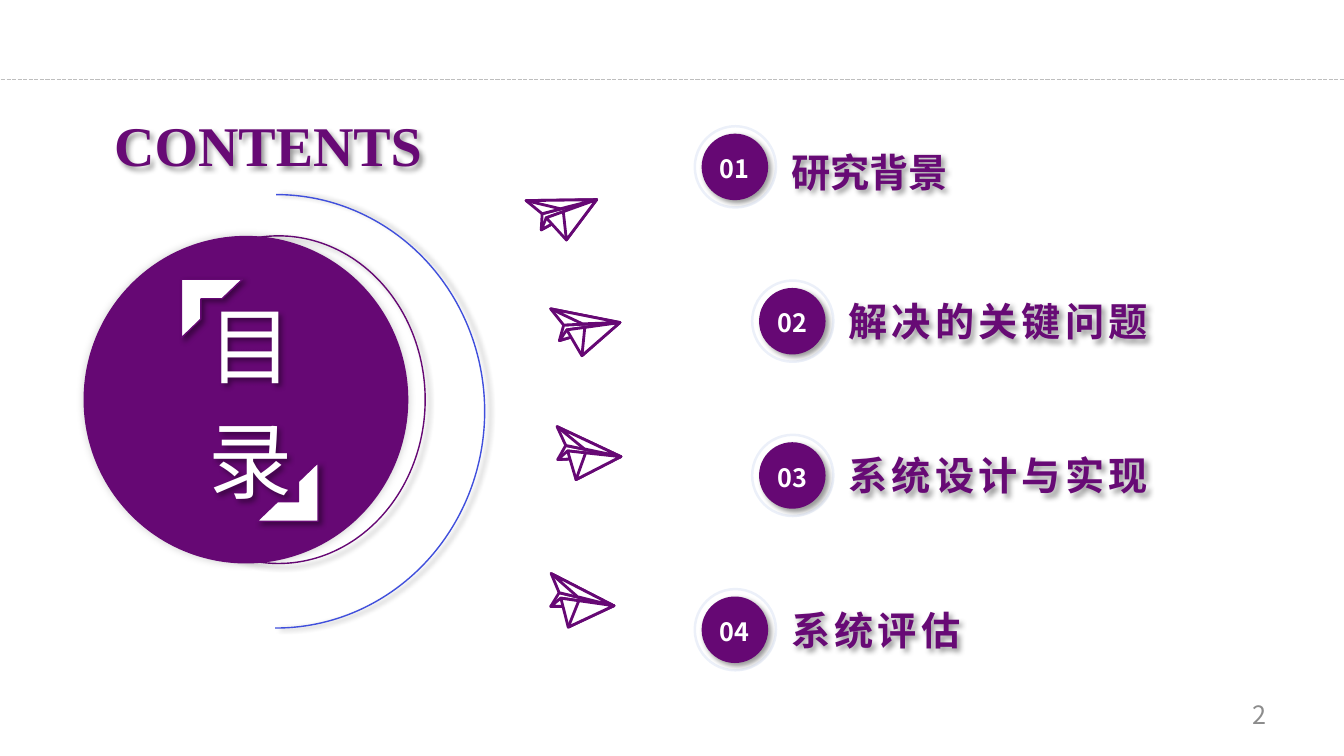
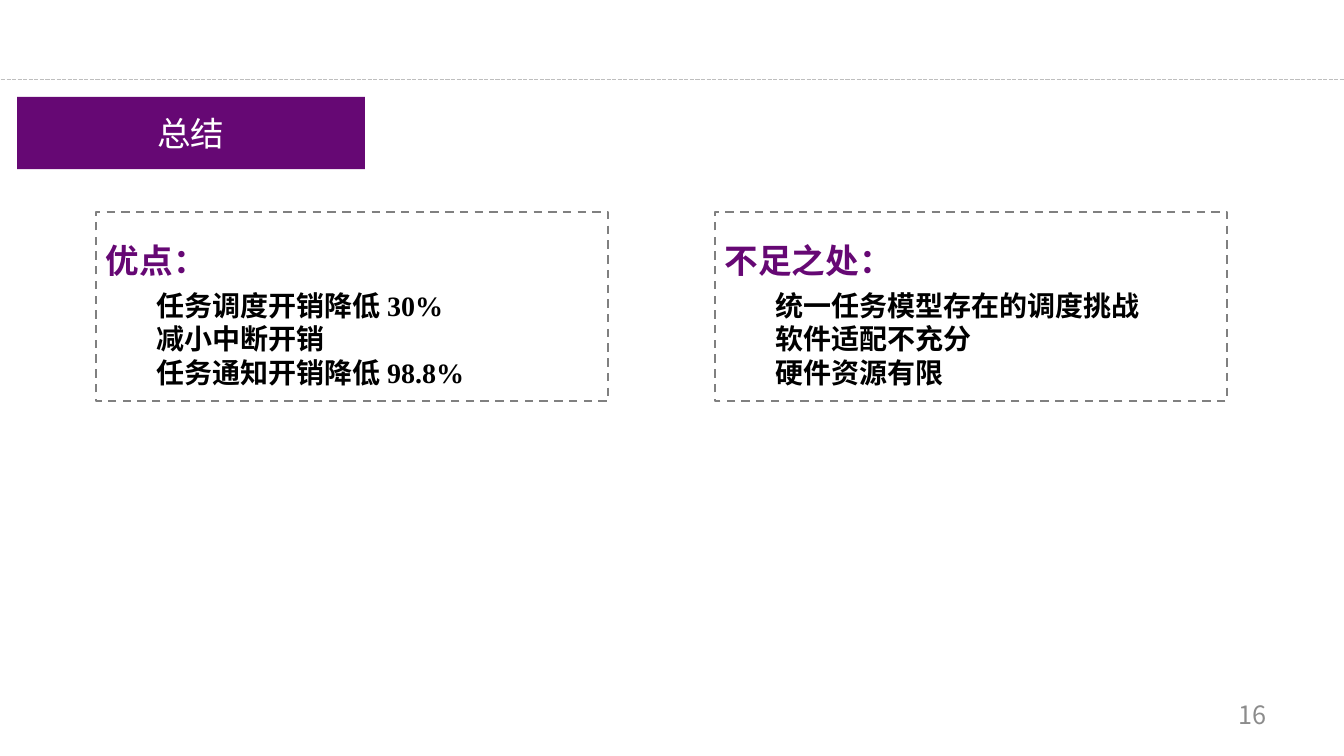
import math

import lxml.etree
import pptx
import pptx.dml.color
import pptx.enum.dml
import pptx.enum.shapes
import pptx.enum.text
import pptx.oxml.ns
import pptx.util

Pt = pptx.util.Pt
KIND = pptx.enum.shapes.MSO_SHAPE
DASH = pptx.enum.dml.MSO_LINE
ALIGN = pptx.enum.text.PP_ALIGN
ANCHOR = pptx.enum.text.MSO_ANCHOR
qn = pptx.oxml.ns.qn

COLOR = {
    "plum": "660874", "label": "670A75", "white": "FFFFFF", "black": "000000",
    "rule": "BEBEBE", "frame": "808080", "page": "8C8C8C", "arc": "404FDC", "ring": "4874CB",
}
SANS, GOTHIC, SERIF = "Noto Sans CJK SC", "Noto Sans CJK JP", "Times New Roman"
DROP = (40, 4, 3, 45)

TOPICS = [
    ("研究背景", 495.4, 0, 1.2),
    ("解决的关键问题", 536.4, 3, 1),
    ("系统设计与实现", 536.4, 3, 1),
    ("系统评估", 495.4, 3, 1),
]
PLANES = [(426.2, 142.6, 0), (442.8, 230.4, 12), (443.5, 326.2, 26), (438.5, 432.7, 28)]
FOLDS = [
    ((-38.9, 10.1), (-39.6, 21.6)),
    ((-36, 13), (-39.6, 21.6)),
    ((-50.4, 0.7), (-38.9, 10.1)),
    ((-36, 13), (-21.6, 28.8)),
    ((-23.8, 8.6), (-21.6, 28.8)),
    ((-50.4, 0.7), (-25.9, 6.5)),
]
PANELS = [
    ("优点：", ["任务调度开销降低 30%", "减小中断开销", "任务通知开销降低 98.8%"]),
    ("不足之处：", ["统一任务模型存在的调度挑战", "软件适配不充分", "硬件资源有限"]),
]


def tint(name):
    """Return the named colour."""
    return pptx.dml.color.RGBColor.from_string(COLOR[name])


def place(shape, box):
    """Move and size a shape to a box in points."""
    shape.left, shape.top, shape.width, shape.height = map(Pt, box)


def paint(shape, fill=None, line=None, width=1):
    """Set the fill and outline, or clear them."""
    if fill:
        shape.fill.solid()
        shape.fill.fore_color.rgb = tint(fill)
    else:
        shape.fill.background()
    if line:
        shape.line.color.rgb = tint(line)
        shape.line.width = Pt(width)
    else:
        shape.line.fill.background()


def shade(shape, alpha, blur, gap, turn):
    """Give a shape a black outer shadow."""
    shape.shadow.inherit = False
    effects = shape.element.spPr.find(qn("a:effectLst"))
    outer = lxml.etree.SubElement(
        effects, qn("a:outerShdw"), blurRad=str(Pt(blur)), dist=str(Pt(gap)),
        dir=str(turn * 60000), algn="ctr", rotWithShape="0")
    black = lxml.etree.SubElement(outer, qn("a:srgbClr"), val=COLOR["black"])
    lxml.etree.SubElement(black, qn("a:alpha"), val=str(alpha * 1000))


def draw(shapes, kind, box, fill=None, line=None, shadow=None):
    """Add a preset shape."""
    shape = shapes.add_shape(kind, *map(Pt, box))
    paint(shape, fill, line)
    shape.shadow.inherit = False
    if shadow:
        shade(shape, *shadow)
    return shape


def style(par, size, color, face=SANS, bold=False, align=ALIGN.LEFT, lead=1, after=0):
    """Format one paragraph."""
    par.alignment = align
    par.line_spacing = lead
    par.space_before, par.space_after = Pt(0), Pt(after)
    font = par.font
    font.size, font.bold, font.name = Pt(size), bold, face
    font.color.rgb = tint(color)


def finish(shape, east=SANS, spread=0):
    """Set East Asian font, letter spacing and plain bullets."""
    for props in shape.element.iter(qn("a:defRPr")):
        lxml.etree.SubElement(props, qn("a:ea"), typeface=east)
        props.set("spc", str(spread * 100))
        par = props.getparent()
        par.set("marL", "0")
        par.set("indent", "0")
        props.addprevious(lxml.etree.Element(qn("a:buNone")))


def setup(shape, anchor, inset=(0, 0), wrap=True):
    """Prepare the text frame of a shape."""
    frame = shape.text_frame
    frame.auto_size = pptx.enum.text.MSO_AUTO_SIZE.NONE
    frame.word_wrap = wrap
    frame.vertical_anchor = anchor
    frame.margin_left = frame.margin_right = Pt(inset[0])
    frame.margin_top = frame.margin_bottom = Pt(inset[1])
    return frame


def write(shape, text, size, color, anchor=ANCHOR.MIDDLE, inset=(0, 0), wrap=True,
          face=SANS, spread=0, **look):
    """Write one formatted paragraph in a shape."""
    frame = setup(shape, anchor, inset, wrap)
    frame.text = text
    style(frame.paragraphs[0], size, color, face, **look)
    finish(shape, SANS if face == SERIF else face, spread)


def label(shapes, box, *args, **look):
    """Add a text box."""
    shape = shapes.add_textbox(*map(Pt, box))
    write(shape, *args, **look)
    return shape


def rule(deck, slide):
    """Put the shared dashed rule on the master."""
    line = slide.shapes.add_connector(
        pptx.enum.shapes.MSO_CONNECTOR.STRAIGHT, Pt(0.7), Pt(56.9), Pt(960), Pt(56.9))
    line.line.color.rgb = tint("rule")
    line.line.width = Pt(1)
    line.line.dash_style = DASH.SQUARE_DOT
    lxml.etree.SubElement(line.element.spPr, qn("a:effectLst"))
    line.element.xpath(".//p:cNvPr")[0].set("id", "99")
    deck.slide_master.shapes.element.append(line.element)


def number(slide, text, face):
    """Write the page number."""
    label(slide.shapes, (699, 497.5, 212.4, 25.2), text, 18, "page", face=face,
          inset=(7.2, 3.6), align=ALIGN.RIGHT)


def emblem(shapes, left, top):
    """Draw the disc with its arcs, corners and words."""
    draw(shapes, KIND.OVAL, (left + 46, top + 29.5, 209.5, 234), line="plum", shadow=DROP)
    draw(shapes, KIND.OVAL, (left + 11.5, top + 29.5, 232, 234), "plum", shadow=(20, 6, 0, 225))
    for x, y, turn in [(81.4, 60.5, 0), (135.4, 191.5, 180)]:
        corner = draw(shapes, KIND.HALF_FRAME, (left + x, top + y, 43.5, 41.8),
                      "white", "plum", DROP)
        corner.rotation = turn
    words = label(shapes, (left + 81.4, top + 60.5, 98.6, 172.8), "目录", 60, "white",
                  anchor=ANCHOR.TOP, align=ALIGN.CENTER, lead=1.14)
    shade(words, *DROP)
    arc = draw(shapes, KIND.ARC, (left, top, 298, 309.6), line="arc", shadow=(40, 4, 3, 0))
    arc.adjustments[0], arc.adjustments[1] = 162, 54.14


def topic(shapes, left, top, mark, text, spread, lead):
    """Draw one numbered topic."""
    ring = draw(shapes, KIND.DONUT, (left, top, 59.8, 59.8), "ring")
    ring.adjustments[0] = 0.03
    tone = next(ring.element.spPr.iter(qn("a:srgbClr")))
    lxml.etree.SubElement(tone, qn("a:alpha"), val="10000")
    disc = draw(shapes, KIND.OVAL, (left + 5.8, top + 6.2, 47.5, 47.5), "plum", shadow=DROP)
    write(disc, mark, 18, "white", face=GOTHIC, bold=True, wrap=False,
          align=ALIGN.CENTER, lead=1.1)
    name = label(shapes, (left + 69.8, top + 10, 289.4, 39.6), text, 28, "label",
                 bold=True, spread=spread, lead=lead)
    shade(name, *DROP)


def plane(shapes, left, top, turn):
    """Draw a paper plane turned about its nose."""
    group = shapes.add_group_shape()
    cos, sin = math.cos(math.radians(turn)), math.sin(math.radians(turn))
    for fold in FOLDS:
        ends = [(Pt(left + x * cos - y * sin), Pt(top + x * sin + y * cos)) for x, y in fold]
        pen = group.shapes.build_freeform(Pt(left), Pt(top))
        pen.add_line_segments(ends, close=True)
        flap = pen.convert_to_shape()
        paint(flap, "white", "plum", 2)
        flap.shadow.inherit = False


def panel(shape, box, head, items):
    """Fill a dashed panel with a heading and its list."""
    place(shape, box)
    paint(shape, line="frame", width=1.5)
    shape.line.dash_style = DASH.DASH
    frame = setup(shape, ANCHOR.TOP, (7.2, 3.6))
    frame.text = "\n".join([head, *items])
    first, *rest = frame.paragraphs
    style(first, 24, "plum", bold=True, lead=Pt(45), after=6)
    for par in rest:
        style(par, 20, "black", SERIF, True, lead=Pt(24))
    finish(shape)
    for props in list(shape.element.iter(qn("a:pPr")))[1:]:
        props.set("marL", str(Pt(36)))


def contents(deck):
    """Build the contents slide."""
    slide = deck.slides.add_slide(deck.slide_layouts[5])
    shapes = slide.shapes
    rule(deck, slide)
    number(slide, "2", SANS)
    place(shapes.title, (75.6, 67, 231.8, 59.8))
    write(shapes.title, "CONTENTS", 40, "label", ANCHOR.BOTTOM, face=SERIF, bold=True,
          align=ALIGN.CENTER, lead=1.14)
    shade(shapes.title, *DROP)
    emblem(shapes, 48.2, 139)
    for row, (text, left, spread, lead) in enumerate(TOPICS):
        topic(shapes, left, 89.3 + row * 110.2, f"{row + 1:02}", text, spread, lead)
    for spot in PLANES:
        plane(shapes, *spot)


def summary(deck):
    """Build the summary slide."""
    slide = deck.slides.add_slide(deck.slide_layouts[3])
    title, *bodies = slide.placeholders
    number(slide, "16", GOTHIC)
    place(title, (12.2, 69.1, 248.4, 51.8))
    paint(title, "plum")
    write(title, "总结", 24, "white", inset=(7.2, 3.6), wrap=False, align=ALIGN.CENTER)
    for col, (body, (head, items)) in enumerate(zip(bodies, PANELS)):
        panel(body, (68.4 + col * 442, 151.2, 365.8, 135.4), head, items)


def main():
    """Build and save the deck."""
    deck = pptx.Presentation()
    deck.slide_width, deck.slide_height = Pt(960), Pt(540)
    contents(deck)
    summary(deck)
    deck.save("out.pptx")


if __name__ == "__main__":
    main()
